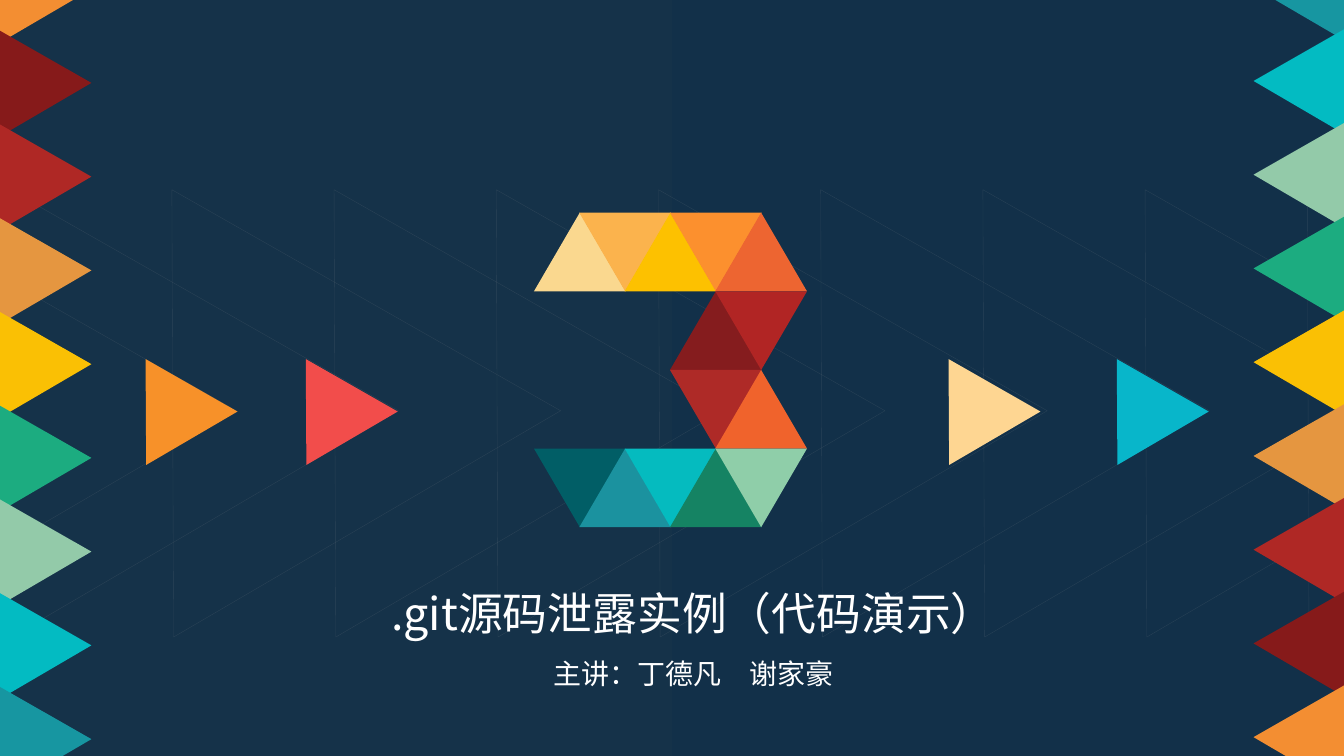
"""Build the section slide for part 3, a .git source leak demo."""
from lxml.etree import SubElement
from pptx import Presentation
from pptx.dml.color import RGBColor
from pptx.enum.shapes import MSO_SHAPE
from pptx.enum.text import MSO_AUTO_SIZE, PP_ALIGN
from pptx.oxml.ns import qn
from pptx.util import Inches, Pt

FONT = "Noto Sans CJK SC"
WHITE = RGBColor(0xFF, 0xFF, 0xFF)
OUTLINE = RGBColor(0xA6, 0xA6, 0xA6)
BACKGROUND = (RGBColor(0x12, 0x30, 0x49), RGBColor(0x15, 0x32, 0x49))
POINT_RIGHT, POINT_LEFT, POINT_DOWN = 329.7, 30.3, 180

TEXT = [(".git源码泄露实例（代码演示）", 32), ("主讲：丁德凡　谢家豪", 20)]
EDGE_COLORS = ["F38E32", "861A1A", "AF2825", "E59640", "FAC004",
               "1CAC80", "93CAA9", "03BBC2", "1796A1"]
ARROWS = [(1.15, "F79129"), (2.74, "F24D4B"), (9.12, "FED692"), (10.79, "08B6CA")]
# first column, whether the first triangle points up, colours
DIGIT_ROWS = [
    (0, True, ["FAD88F", "FBB34D", "FDC100", "FC902E", "ED6531"]),
    (3, True, ["851C1E", "B12524"]),
    (3, False, ["AE2A27", "F0632C"]),
    (0, False, ["015E66", "1B929F", "05BBBF", "158363", "8FCEA9"]),
]
OUTLINE_COUNT, OUTLINE_STEP = 10, 1.61
EDGE_STEP = 0.93
DIGIT_LEFT, DIGIT_TOP, COLUMN_STEP, ROW_STEP = 5.3, 2.11, 0.45, 0.78
LARGE, MEDIUM, SMALL = (4.45, 3.84), (1.05, 0.91), (0.91, 0.78)


def add_triangle(slide, left, top, size, rotation=0, color=None):
    s = slide.shapes.add_shape(MSO_SHAPE.ISOSCELES_TRIANGLE, Inches(left), Inches(top),
                               Inches(size[0]), Inches(size[1]))
    s.shadow.inherit = False
    s.rotation = rotation
    if color:
        s.fill.solid()
        s.fill.fore_color.rgb = RGBColor.from_string(color)
        s.line.fill.background()
    else:
        s.fill.background()
        s.line.color.rgb = OUTLINE
        s.line.width = Pt(0.25)
        clr = s.line._ln.find(".//" + qn("a:srgbClr"))
        SubElement(clr, qn("a:alpha"), val="15000")


def add_title(slide):
    tf = slide.shapes.add_textbox(Inches(3.56), Inches(5.5), Inches(6.65), Inches(1.4)).text_frame
    tf.word_wrap = True
    tf.auto_size = MSO_AUTO_SIZE.SHAPE_TO_FIT_TEXT
    tf.text = "\n".join(text for text, _ in TEXT)
    for p, (_, size) in zip(tf.paragraphs, TEXT):
        p.alignment = PP_ALIGN.CENTER
        p.line_spacing = 1.5
        r = p.runs[0]
        r.font.size = Pt(size)
        r.font.name = FONT
        r.font.color.rgb = WHITE
        SubElement(r.font._element, qn("a:ea"), typeface=FONT)


def main():
    prs = Presentation()
    prs.slide_width, prs.slide_height = Inches(13.34), Inches(7.5)
    slide = prs.slides.add_slide(prs.slide_layouts[6])

    fill = slide.background.fill
    fill.gradient()
    fill.gradient_angle = 180
    for stop, color, position in zip(fill.gradient_stops, BACKGROUND, (0, 1)):
        stop.color.rgb = color
        stop.position = position

    for i in range(OUTLINE_COUNT):
        add_triangle(slide, -2.77 + i * OUTLINE_STEP, 1.62, LARGE, POINT_RIGHT)
    for left, first_top, rotation, colors in [
            (-0.3, -0.69, POINT_RIGHT, EDGE_COLORS),
            (12.6, -0.71, POINT_LEFT, EDGE_COLORS[::-1])]:
        for i, color in enumerate(colors):
            add_triangle(slide, left, first_top + i * EDGE_STEP, MEDIUM, rotation, color)
    for left, color in ARROWS:
        add_triangle(slide, left, 3.5, MEDIUM, POINT_RIGHT, color)

    add_title(slide)

    for row, (first, starts_up, colors) in enumerate(DIGIT_ROWS):
        for i, color in enumerate(colors):
            points_up = starts_up == (i % 2 == 0)
            add_triangle(slide, DIGIT_LEFT + (first + i) * COLUMN_STEP, DIGIT_TOP + row * ROW_STEP,
                         SMALL, 0 if points_up else POINT_DOWN, color)
    prs.save("out.pptx")


if __name__ == "__main__":
    main()
